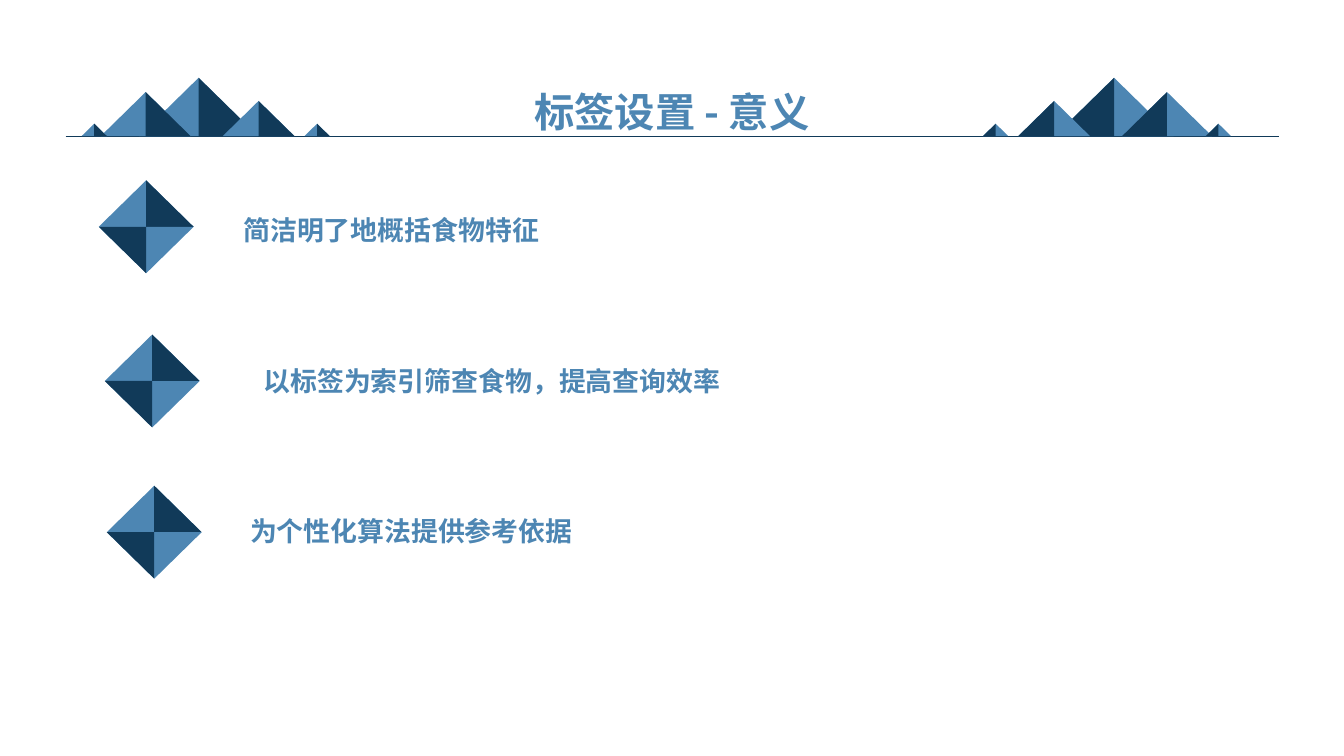
"""Build the slide on the purpose of setting tags."""
from lxml.etree import SubElement
from pptx import Presentation
from pptx.dml.color import RGBColor
from pptx.enum.shapes import MSO_CONNECTOR, MSO_SHAPE
from pptx.enum.text import MSO_AUTO_SIZE, PP_ALIGN
from pptx.oxml.ns import qn
from pptx.util import Inches, Pt

COLORS = {"light": "4D86B3", "dark": "113A59"}
FONT = "Noto Sans CJK SC"
GROUND = 1.35
SLOPE = 0.49
MIRROR_SUM = 13.02
PEAKS = [(10.46, 1.18), (10.1, 0.71), (11.13, 0.89), (9.75, 0.25), (11.96, 0.25)]
DIAMOND_WIDTH = 0.94
PURPOSES = [
    ("简洁明了地概括食物特征", (0.98, 2.25), (1.97, 2.01, 3.82, 0.47)),
    ("以标签为索引筛查食物，提高查询效率", (1.04, 3.78), (1.97, 3.51, 5.82, 0.47)),
    ("为个性化算法提供参考依据", (1.06, 5.28), (2, 5, 4.16, 0.47)),
]


def write(paragraph, text, size, color="light", bold=True, align=PP_ALIGN.CENTER):
    paragraph.alignment = align
    run = paragraph.add_run()
    run.text = text
    run.font.size = Pt(size)
    run.font.bold = bold
    run.font.name = FONT
    run.font.color.rgb = RGBColor.from_string(COLORS[color])
    properties = run.font._element
    properties.set("cap", "small")
    SubElement(properties, qn("a:ea")).set("typeface", FONT)


class MountainSlide:
    def __init__(self, slide):
        self.slide = slide

    def paint(self, shape, color):
        shape.shadow.inherit = False
        shape.fill.solid()
        shape.fill.fore_color.rgb = RGBColor.from_string(COLORS[color])
        shape.line.fill.background()

    def label(self, text, box, size):
        frame = self.slide.shapes.add_textbox(*map(Inches, box)).text_frame
        frame.word_wrap = False
        frame.auto_size = MSO_AUTO_SIZE.SHAPE_TO_FIT_TEXT
        frame.margin_left = frame.margin_right = Inches(0.08)
        frame.margin_top = frame.margin_bottom = Inches(0.04)
        write(frame.paragraphs[0], text, size)

    def horizon(self, left, right, y):
        line = self.slide.shapes.add_connector(
            MSO_CONNECTOR.STRAIGHT, Inches(left), Inches(y), Inches(right), Inches(y))
        line.line.color.rgb = RGBColor.from_string(COLORS["dark"])
        line.line.width = Pt(0.5)
        SubElement(line._element.spPr, qn("a:effectLst"))

    def peak(self, group, left, base, width, shaded, inverted=False):
        height = width * SLOPE
        top = base if inverted else base - height
        tip = base + height if inverted else top
        middle = left + width / 2
        body = group.shapes.add_shape(
            MSO_SHAPE.ISOSCELES_TRIANGLE, *map(Inches, (left, top, width, height)))
        body.rotation = 180 if inverted else 0
        self.paint(body, "light")
        corner = left + width if shaded == "right" else left
        outline = group.shapes.build_freeform(Inches(middle), Inches(tip))
        outline.add_line_segments(
            [(Inches(middle), Inches(base)), (Inches(corner), Inches(base))])
        self.paint(outline.convert_to_shape(), "dark")

    def range(self, mirrored):
        group = self.slide.shapes.add_group_shape()
        for left, width in PEAKS:
            if mirrored:
                self.peak(group, MIRROR_SUM - left - width, GROUND, width, "right")
            else:
                self.peak(group, left, GROUND, width, "left")

    def diamond(self, left, middle):
        group = self.slide.shapes.add_group_shape()
        self.peak(group, left, middle, DIAMOND_WIDTH, "right")
        self.peak(group, left, middle, DIAMOND_WIDTH, "left", inverted=True)


def main():
    deck = Presentation()
    deck.slide_width, deck.slide_height = Inches(13.33), Inches(7.5)
    page = MountainSlide(deck.slides.add_slide(deck.slide_layouts[6]))
    page.label("标签设置 - 意义", (4.83, 0.72, 3.67, 0.68), 36)
    page.horizon(0.65, 12.69, GROUND)
    for mirrored in (False, True):
        page.range(mirrored)
    for purpose, marker, box in PURPOSES:
        page.diamond(*marker)
        page.label(purpose, box, 24)
    deck.save("out.pptx")


if __name__ == "__main__":
    main()
